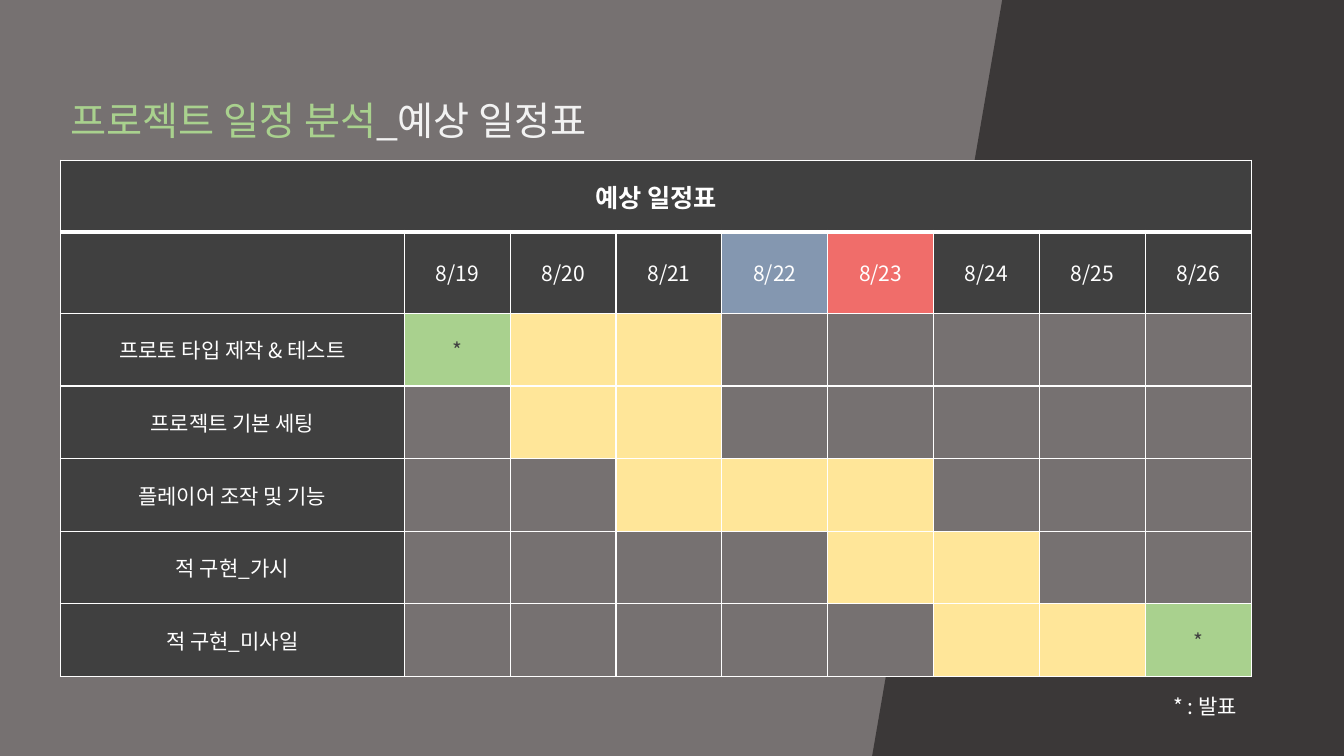
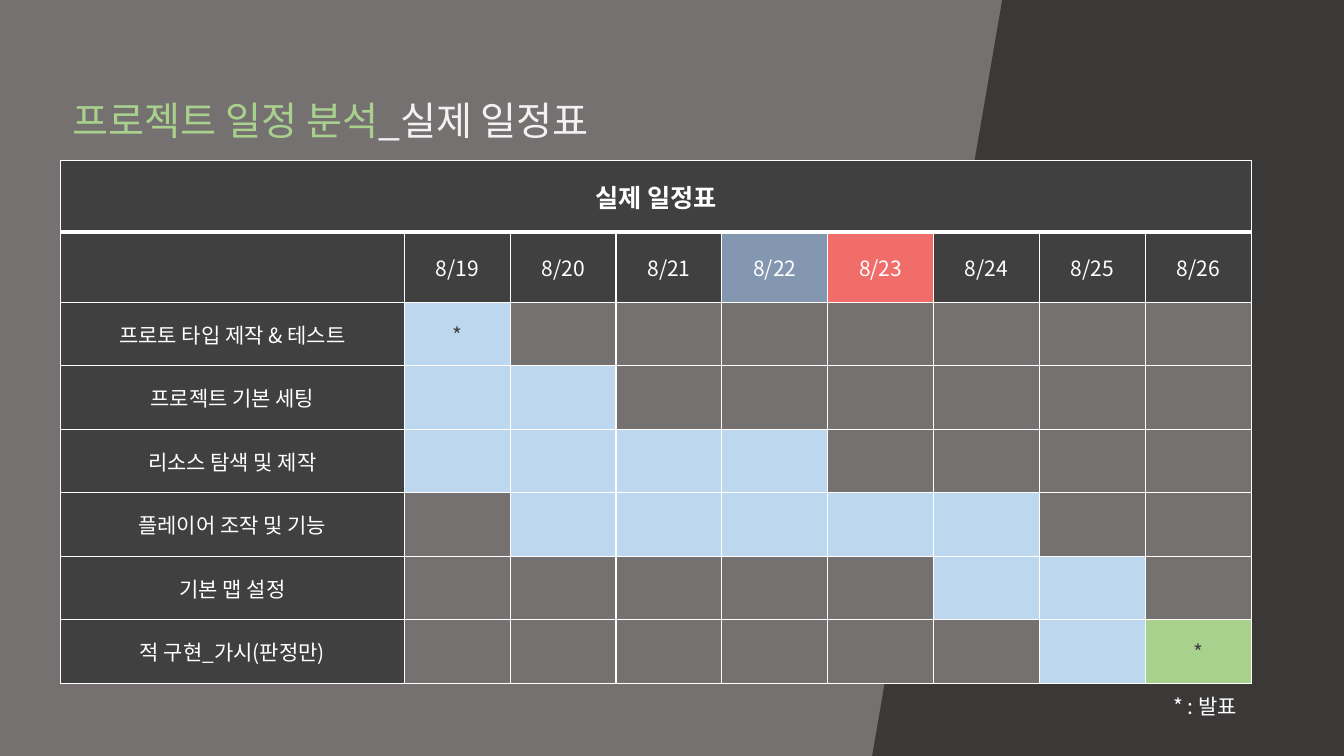
from lxml import etree
from pptx import Presentation
from pptx.dml.color import RGBColor
from pptx.enum.shapes import MSO_SHAPE
from pptx.enum.text import MSO_ANCHOR, MSO_AUTO_SIZE, PP_ALIGN
from pptx.oxml.ns import qn
from pptx.util import Inches, Pt

SLANT = MSO_SHAPE.FLOWCHART_DATA
MIDDLE = MSO_ANCHOR.MIDDLE
CENTER = PP_ALIGN.CENTER
GROW = MSO_AUTO_SIZE.SHAPE_TO_FIT_TEXT

FONT = "Noto Sans CJK KR"
GRAY = RGBColor(0x76, 0x71, 0x71)
BAND = RGBColor(0x3B, 0x38, 0x38)
DARK = RGBColor(0x40, 0x40, 0x40)
WHITE = RGBColor(0xFF, 0xFF, 0xFF)
PALE = RGBColor(0xF2, 0xF2, 0xF2)
GREEN = RGBColor(0xA9, 0xD1, 0x8E)
YELLOW = RGBColor(0xFF, 0xE6, 0x99)
SKY = RGBColor(0xBD, 0xD7, 0xEE)
STEEL = RGBColor(0x84, 0x97, 0xB0)
RED = RGBColor(0xF0, 0x6D, 0x6A)

FILLS = {".": GRAY, "y": YELLOW, "b": SKY, "g": GREEN}
DAYS = [f"8/{day}" for day in range(19, 27)]
WEEKEND = {"8/22": STEEL, "8/23": RED}
LABEL_W, DAY_W = 3.41, 1.05

# Each task has one letter per day, a key of FILLS.
PLAN = [
    ("프로토 타입 제작 & 테스트", "gyy....."),
    ("프로젝트 기본 세팅", ".yy....."),
    ("플레이어 조작 및 기능", "..yyy..."),
    ("적 구현_가시", "....yy.."),
    ("적 구현_미사일", ".....yyg"),
]
ACTUAL = [
    ("프로토 타입 제작 & 테스트", "b......."),
    ("프로젝트 기본 세팅", "bb......"),
    ("리소스 탐색 및 제작", "bbbb...."),
    ("플레이어 조작 및 기능", ".bbbbb.."),
    ("기본 맵 설정", ".....bb."),
    ("적 구현_가시(판정만)", "......bg"),
]


def style(run, size, color, bold=False):
    font = run.font
    font.size, font.bold, font.name = Pt(size), bold, FONT
    font.color.rgb = color
    east = etree.SubElement(run._r.get_or_add_rPr(), qn("a:ea"))
    east.set("typeface", FONT)


def add_text(slide, box, parts, size):
    """Write (text, colour) parts as one line and return its paragraph."""
    frame = slide.shapes.add_textbox(*map(Inches, box)).text_frame
    frame.word_wrap = True
    frame.auto_size = GROW
    line = frame.paragraphs[0]
    line.line_spacing = 1.5
    for text, color in parts:
        run = line.add_run()
        run.text = text
        style(run, size, color)
    return line


def add_band(slide, box):
    band = slide.shapes.add_shape(SLANT, *map(Inches, box))
    band.shadow.inherit = False
    band.fill.solid()
    band.fill.fore_color.rgb = BAND
    band.line.fill.background()


def add_legend(slide, box):
    line = add_text(slide, box, [("* : 발표", WHITE)], 15)
    props = line._p.get_or_add_pPr()
    props.set("marL", str(Inches(0.5)))
    props.set("indent", "0")
    line.level = 1


def add_edges(cell, top, bottom):
    """Draw white borders; top and bottom are widths in points."""
    props = cell._tc.get_or_add_tcPr()
    for side, width in zip("LRTB", (1, 1, top, bottom)):
        edge = etree.SubElement(props, qn(f"a:ln{side}"), w=str(Pt(width)))
        fill = etree.SubElement(edge, qn("a:solidFill"))
        etree.SubElement(fill, qn("a:srgbClr"), val=str(WHITE))


def fill_cell(cell, fill, text="", color=WHITE, size=15, bold=False):
    cell.fill.solid()
    cell.fill.fore_color.rgb = fill
    cell.vertical_anchor = MIDDLE
    if text:
        line = cell.text_frame.paragraphs[0]
        line.text = text
        line.alignment = CENTER
        style(line.runs[0], size, color, bold)


def add_table(slide, left, top, name, tasks, heights):
    """Draw the schedule; heights are those of name, dates and one task."""
    rows = [heights[0], heights[1]] + [heights[2]] * len(tasks)
    cols = [LABEL_W] + [DAY_W] * len(DAYS)
    box = map(Inches, (left, top, sum(cols), sum(rows)))
    table = slide.shapes.add_table(len(rows), len(cols), *box).table
    table.first_row = table.horz_banding = False
    for row, height in zip(table.rows, rows):
        row.height = Inches(height)
    for col, width in zip(table.columns, cols):
        col.width = Inches(width)
    for i, row in enumerate(table.rows):
        for cell in row.cells:
            add_edges(cell, 3 if i == 1 else 1, 3 if i == 0 else 1)

    table.cell(0, 0).merge(table.cell(0, len(DAYS)))
    fill_cell(table.cell(0, 0), DARK, name, size=18, bold=True)
    fill_cell(table.cell(1, 0), DARK)
    for j, day in enumerate(DAYS, 1):
        fill_cell(table.cell(1, j), WEEKEND.get(day, DARK), day)

    shows = {(2, 1), (len(rows) - 1, len(DAYS))}
    for i, (task, marks) in enumerate(tasks, 2):
        fill_cell(table.cell(i, 0), DARK, task)
        for j, mark in enumerate(marks, 1):
            star = "*" if (i, j) in shows else ""
            fill_cell(table.cell(i, j), FILLS[mark], star, DARK)


def add_slide(deck, name, tasks, heights, title_x):
    slide = deck.slides.add_slide(deck.slide_layouts[6])
    back = slide.background.fill
    back.solid()
    back.fore_color.rgb = GRAY
    add_band(slide, (8.65, 0, 6.45, 7.5))
    parts = [("프로젝트 일정 분석", GREEN), (f"_{name}", PALE)]
    add_text(slide, (title_x, 0.67, 5.7, 0.75), parts, 28)
    add_table(slide, 0.6, 1.59, name, tasks, heights)
    add_legend(slide, (11.04, 6.71, 1.37, 0.48))


def main():
    deck = Presentation()
    deck.slide_width, deck.slide_height = Inches(13.33), Inches(7.5)
    add_slide(deck, "예상 일정표", PLAN, (0.71, 0.81, 0.72), 0.6)
    add_slide(deck, "실제 일정표", ACTUAL, (0.71, 0.7, 0.63), 0.62)
    deck.save("out.pptx")


if __name__ == "__main__":
    main()
